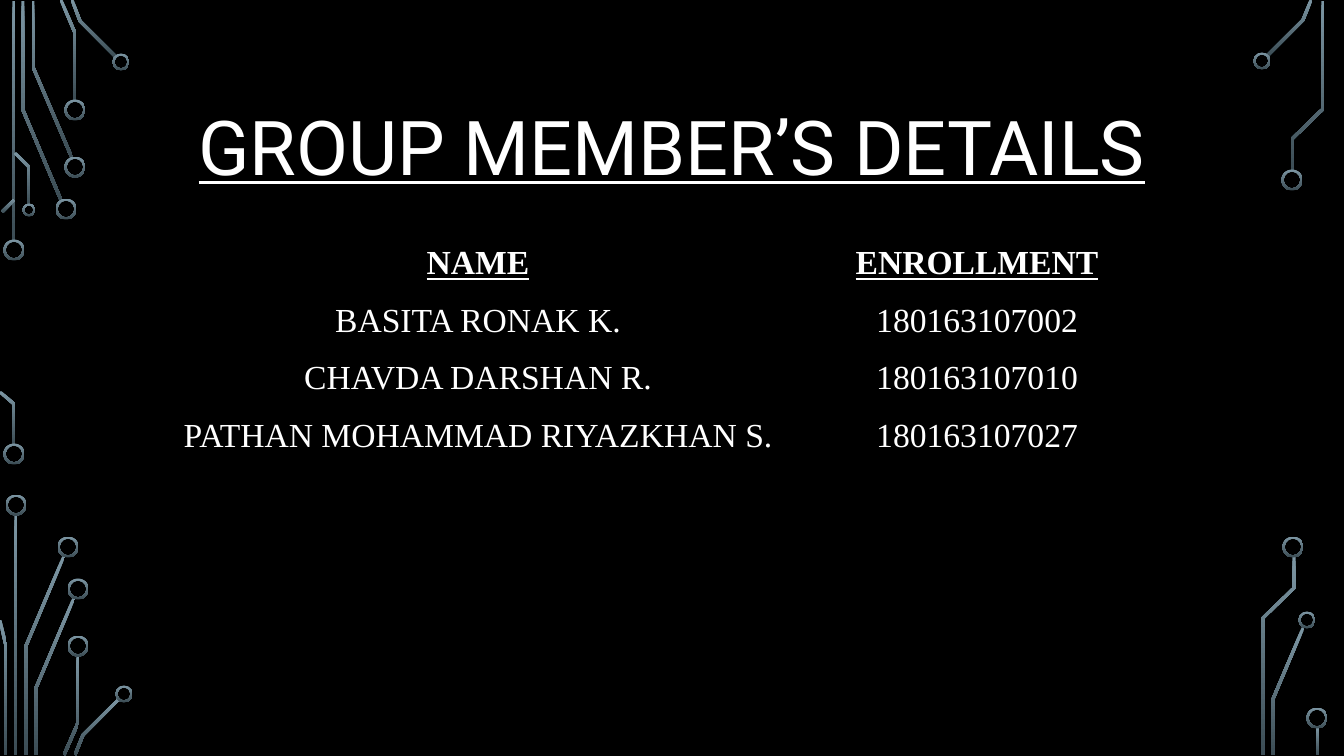
from math import hypot
from pptx import Presentation
from pptx import util as u
from pptx.dml.color import RGBColor
from pptx.enum import shapes, text
from pptx.oxml.ns import qn

PX = 914400 / 100.8
THEME = {
    "back": RGBColor.from_string("000000"),
    "ink": RGBColor.from_string("FFFFFF"),
    "trace": [RGBColor.from_string(c) for c in ("7C96A3", "3B4C54")],
    "title": ("Roboto", u.Pt(54)),
    "cell": ("Times New Roman", u.Pt(24)),
}
NO_STYLE = "{2D5ABB26-0587-4C30-8999-92F81FD0307C}"
WIDE = 3  # trace width
RIM = 2   # ring thickness


def px(*sizes):
    return [u.Emu(round(s * PX)) for s in sizes]


def paint(shape):
    """Fill a circuit part from light at the top to dark at the bottom."""
    shape.shadow.inherit = False
    shape.line.fill.background()
    shape.fill.gradient()
    shape.fill.gradient_angle = 270
    for i, stop in enumerate(shape.fill.gradient_stops):
        stop.position = i
        stop.color.rgb = THEME["trace"][i]


deck = Presentation()
deck.slide_width, deck.slide_height = px(1344, 756)
slide = deck.slides.add_slide(deck.slide_layouts[5])
slide.background.fill.solid()
slide.background.fill.fore_color.rgb = THEME["back"]

# Circuit traces, as centre lines
traces = [
    # top left
    [(14, 1), (14, 242)],
    [(23, 1), (23, 110), (61, 200)],
    [(33, 1), (33, 67), (72, 158)],
    [(61, 0), (75, 33), (75, 101)],
    [(72, 0), (80, 21), (116, 57)],
    [(2, 212), (14, 200)],
    [(0, 392), (14, 404), (14, 445)],
    [(15, 153), (29, 167), (29, 205)],
    # bottom left
    [(16, 514), (16, 755)],
    [(26, 755), (26, 646), (64, 556)],
    [(6, 755), (6, 646), (0, 620)],
    [(36, 755), (36, 688), (74, 598)],
    [(78, 655), (78, 723), (64, 755)],
    [(75, 755), (83, 735), (119, 699)],
    # right
    [(1267, 56), (1303, 20), (1311, 0)],
    [(1323, 1), (1323, 109), (1292, 139), (1292, 171)],
    [(1273, 755), (1273, 699), (1303, 628)],
    [(1294, 556), (1294, 588), (1263, 618), (1263, 755)],
    [(1318, 727), (1318, 755)],
]
for trace in traces:
    norms = []
    for (x1, y1), (x2, y2) in zip(trace, trace[1:]):
        size = hypot(x2 - x1, y2 - y1)
        norms.append(((y1 - y2) / size, (x2 - x1) / size))
    left, right = [], []
    # Each corner is mitred between the normals of its two segments
    for (x, y), (ax, ay), (bx, by) in zip(trace, norms[:1] + norms, norms + norms[-1:]):
        k = WIDE / 2 / (1 + ax * bx + ay * by)
        dx, dy = k * (ax + bx), k * (ay + by)
        left.append(px(x + dx, y + dy))
        right.append(px(x - dx, y - dy))
    edge = left + right[::-1]
    pen = slide.shapes.build_freeform(*edge[0])
    pen.add_line_segments(edge[1:], close=True)
    paint(pen.convert_to_shape())

# Rings at the trace ends, grouped by diameter
rings = {
    21: [(14, 250), (14, 454), (66, 209), (75, 167), (75, 110),
         (16, 505), (68, 547), (78, 589), (78, 646),
         (1292, 180), (1293, 547), (1317, 718)],
    17: [(121, 62), (124, 694), (1262, 61), (1307, 620)],
    13: [(29, 210)],
}
for size, spots in rings.items():
    for x, y in spots:
        ring = slide.shapes.add_shape(
            shapes.MSO_SHAPE.DONUT, *px(x - size / 2, y - size / 2, size, size))
        ring.adjustments[0] = RIM / size
        paint(ring)

# Title
title = slide.shapes.title
title.left, title.top, title.width, title.height = px(126, 69, 1092, 163)
frame = title.text_frame
frame.word_wrap = True
frame.auto_size = text.MSO_AUTO_SIZE.NONE
frame.vertical_anchor = text.MSO_ANCHOR.MIDDLE
para = frame.paragraphs[0]
para.alignment = text.PP_ALIGN.CENTER
para.line_spacing = 0.9
run = para.add_run()
run.text = "GROUP MEMBER’S DETAILS"
run.font.name, run.font.size = THEME["title"]
run.font.color.rgb = THEME["ink"]
run.font.underline = True

# Members
rows = [
    ("NAME", "ENROLLMENT"),
    ("BASITA RONAK K.", "180163107002"),
    ("CHAVDA DARSHAN R.", "180163107010"),
    ("PATHAN MOHAMMAD RIYAZKHAN S.", "180163107027"),
]
table = slide.shapes.add_table(len(rows), 2, *px(164, 240, 998, 230)).table
table.horz_banding = False
table._tbl.tblPr.find(qn("a:tableStyleId")).text = NO_STYLE
for col, width in zip(table.columns, px(628, 370)):
    col.width = width
for r, row in enumerate(rows):
    for c, word in enumerate(row):
        cell = table.cell(r, c)
        cell.fill.background()
        para = cell.text_frame.paragraphs[0]
        para.alignment = text.PP_ALIGN.CENTER
        run = para.add_run()
        run.text = word
        run.font.name, run.font.size = THEME["cell"]
        run.font.color.rgb = THEME["ink"]
        run.font.bold = run.font.underline = r == 0

deck.save("out.pptx")
